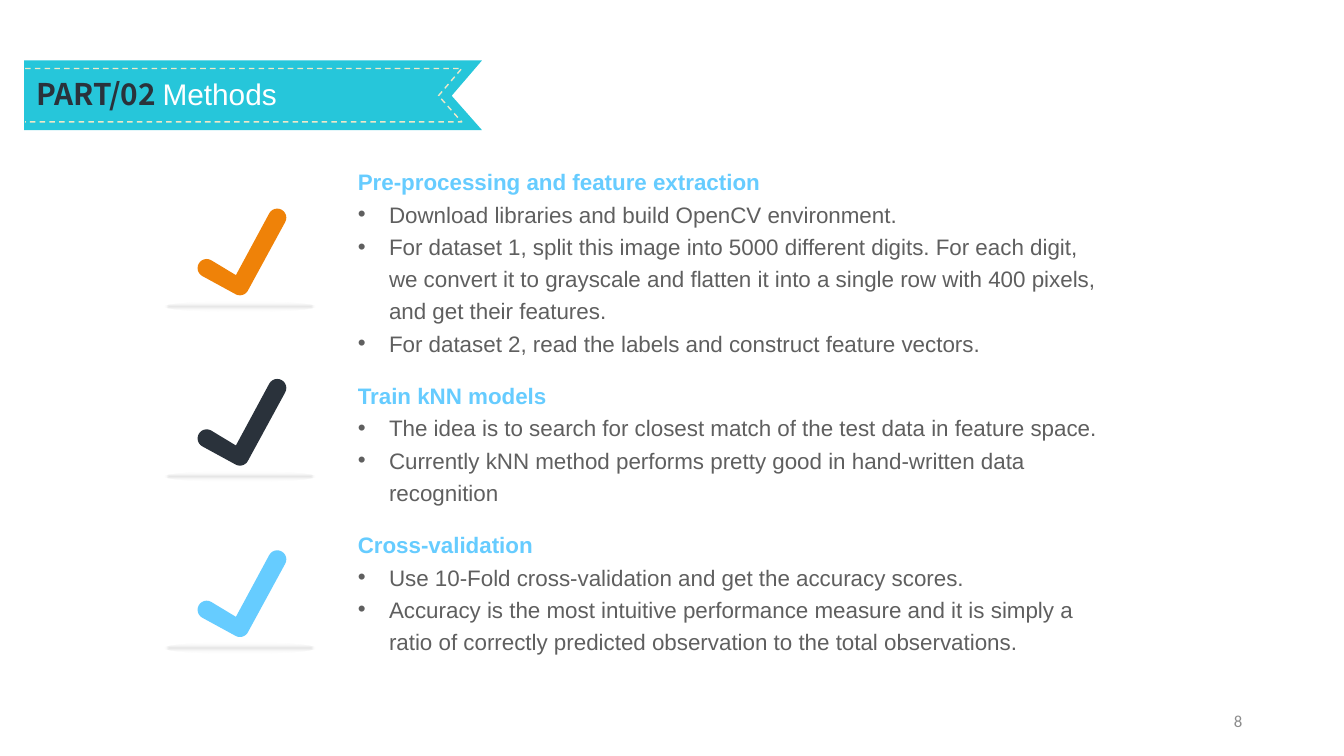
from math import cos, radians, sin

from pptx import Presentation
from pptx import util as u
from pptx.dml.color import RGBColor
from pptx.enum import dml, shapes, text
from pptx.oxml import parse_xml
from pptx.oxml.ns import nsdecls, qn

PX = 9144  # EMU per px, 100 px to the inch
CYAN, CREAM, DARK, ORANGE = "26C6DA", "EDE8C8", "2A323B", "EF8208"
BLUE, GREY, PALE, WHITE = "66CCFF", "5F5F5F", "8C8C8C", "FFFFFF"

GLOW = f"""<a:gradFill {nsdecls('a')} rotWithShape="1"><a:gsLst>
<a:gs pos="0"><a:srgbClr val="000000"><a:alpha val="10000"/></a:srgbClr></a:gs>
<a:gs pos="100000"><a:srgbClr val="FFFFFF"><a:alpha val="0"/></a:srgbClr></a:gs>
</a:gsLst><a:path path="shape">
<a:fillToRect l="50000" t="50000" r="50000" b="50000"/></a:path></a:gradFill>"""


def px(*vals):
    return [round(v * PX) for v in vals]


def rgb(code):
    return RGBColor.from_string(code)


def arc(x, y, r, start, end, steps=12):
    angles = [radians(start + (end - start) * i / steps) for i in range(steps + 1)]
    return [(x + r * cos(a), y + r * sin(a)) for a in angles]


class Deck:
    font, size, lead = "Arial", 16, 1.2

    def __init__(self, wide, high):
        self.prs = Presentation()
        self.prs.slide_width, self.prs.slide_height = px(wide, high)
        self.slide = self.prs.slides.add_slide(self.prs.slide_layouts[5])
        self.items = self.slide.shapes

    def style(self, font, color, size=None, bold=False, name=None):
        font.name, font.size = name or self.font, u.Pt(size or self.size)
        font.bold, font.color.rgb = bold, rgb(color)

    def title(self, box, runs, size):
        item = self.items.title
        item.left, item.top, item.width, item.height = px(*box)
        self.items._spTree.append(item._element)  # bring in front of the ribbon
        frame = item.text_frame
        frame.word_wrap, frame.auto_size = False, text.MSO_AUTO_SIZE.NONE
        frame.vertical_anchor = text.MSO_ANCHOR.MIDDLE
        para = frame.paragraphs[0]
        para.alignment = text.PP_ALIGN.LEFT
        for words, name, color, bold in runs:
            run = para.add_run()
            run.text = words
            self.style(run.font, color, size, bold, name)

    def outline(self, points, fill=None, line=None):
        first, *rest = [px(*p) for p in points]
        form = self.items.build_freeform(*first)
        form.add_line_segments(rest, close=fill is not None)
        item = form.convert_to_shape()
        item.shadow.inherit = False
        if fill:
            item.fill.solid()
            item.fill.fore_color.rgb = rgb(fill)
            item.line.fill.background()
        else:
            item.fill.background()
            item.line.color.rgb = rgb(line)
            item.line.width = u.Pt(1)
            item.line.dash_style = dml.MSO_LINE.DASH

    def check(self, top, color):
        tip = arc(275, top + 9, 9, 29, -151)
        tail = arc(205, top + 59, 9, -61, -241)
        heel = arc(238, top + 77, 9, 119, 29)
        self.outline([*tip, (234, top + 66), *tail, *heel], fill=color)

    def glow(self, *box):
        item = self.items.add_shape(shapes.MSO_SHAPE.OVAL, *px(*box))
        item.shadow.inherit = False
        item.line.fill.background()
        item.fill.background()
        props = item._element.spPr
        props.replace(props.find(qn("a:noFill")), parse_xml(GLOW))

    def frame(self, *box):
        frame = self.items.add_textbox(*px(*box)).text_frame
        frame.word_wrap = True
        return frame

    def notes(self, box, head, points):
        frame = self.frame(*box)
        for i, words in enumerate([head, *points]):
            para = frame.add_paragraph() if i else frame.paragraphs[0]
            para.text, para.line_spacing = words, self.lead
            self.style(para.font, GREY if i else BLUE, bold=not i)
            if i:
                props = para._p.get_or_add_pPr()
                props.set("marL", str(31 * PX))
                props.set("indent", str(-31 * PX))
                props.append(parse_xml(f'<a:buFont {nsdecls("a")} typeface="Arial"/>'))
                props.append(parse_xml(f'<a:buChar {nsdecls("a")} char="•"/>'))

    def number(self, box, words):
        frame = self.frame(*box)
        frame.vertical_anchor = text.MSO_ANCHOR.MIDDLE
        para = frame.paragraphs[0]
        para.text, para.alignment = words, text.PP_ALIGN.RIGHT
        self.style(para.font, PALE, 12, name="Calibri")


# Check top, colour, text top, text height, heading, points
STEPS = [
    (207, ORANGE, 157, 204, "Pre-processing and feature extraction", [
        "Download libraries and build OpenCV environment.",
        "For dataset 1, split this image into 5000 different digits. For each digit, "
        "we convert it to grayscale and flatten it into a single row with 400 pixels, "
        "and get their features.",
        "For dataset 2, read the labels and construct feature vectors."]),
    (376, DARK, 369, 139, "Train kNN models", [
        "The idea is to search for closest match of the test data in feature space.",
        "Currently kNN method performs pretty good in hand-written data recognition"]),
    (546, BLUE, 517, 139, "Cross-validation", [
        "Use 10-Fold cross-validation and get the accuracy scores.",
        "Accuracy is the most intuitive performance measure and it is simply a "
        "ratio of correctly predicted observation to the total observations."]),
]


def main():
    deck = Deck(1333, 750)

    # Ribbon with stitching and title
    deck.outline([(478, 129), (24, 129), (24, 60), (478, 60), (448, 95)], fill=CYAN)
    deck.outline([(25, 68), (458, 68), (435, 95), (458, 121), (25, 121)], line=CREAM)
    deck.title((26, 70, 274, 46), [("PART/02 ", "Noto Sans CJK SC", DARK, True),
                                   ("Methods", "Arial", WHITE, False)], 21.3)

    # Checked steps
    for top, color, y, high, head, points in STEPS:
        deck.check(top, color)
        deck.glow(163, top + 92, 150, 10)
        deck.notes((345, y, 758, high), head, points)

    # Page number
    deck.number((942, 695, 300, 40), "8")
    deck.prs.save("out.pptx")


if __name__ == "__main__":
    main()
